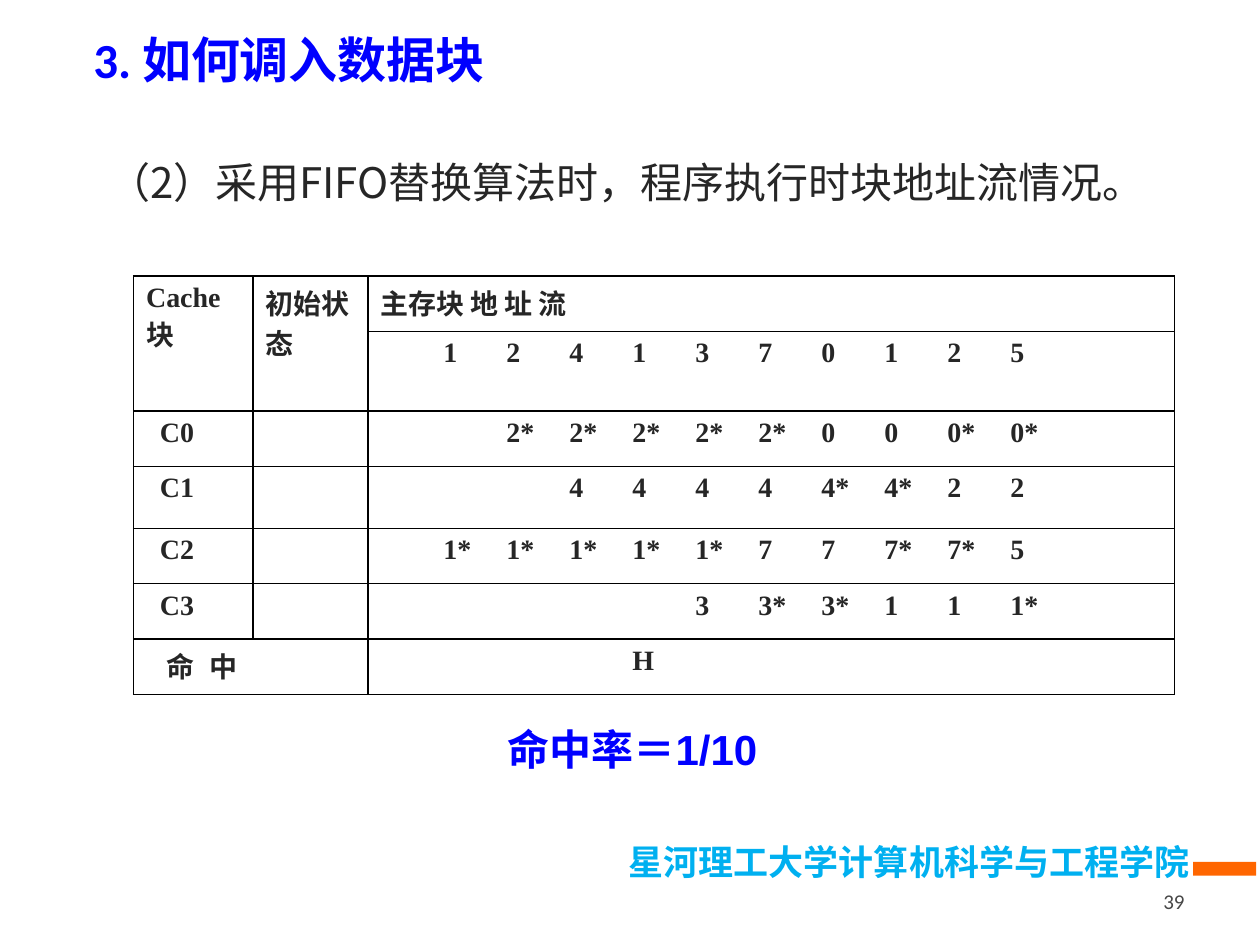
from dataclasses import dataclass

from lxml import etree
from pptx import Presentation
from pptx.dml.color import RGBColor
from pptx.enum.shapes import MSO_SHAPE
from pptx.enum.text import MSO_ANCHOR, PP_ALIGN
from pptx.oxml.ns import qn
from pptx.util import Inches, Pt

RECTANGLE = MSO_SHAPE.RECTANGLE
TOP, MIDDLE = MSO_ANCHOR.TOP, MSO_ANCHOR.MIDDLE
LEFT, RIGHT = PP_ALIGN.LEFT, PP_ALIGN.RIGHT


@dataclass(frozen=True)
class Theme:
    blue: str = "0000FF"
    ink: str = "262626"
    grey: str = "474747"
    sky: str = "00B0F0"
    orange: str = "FF6600"
    line: str = "000000"
    chinese: str = "Noto Sans CJK SC"
    heading: str = "Calibri"
    serif: str = "Times New Roman"
    result: str = "Lato"
    digits: str = "Arial"
    title_size: int = 28
    body_size: int = 24
    footer_size: int = 20
    table_size: int = 16
    number_size: int = 12


THEME = Theme()

# The slide is a grid of 100 columns by 75 rows
COLUMNS, ROWS = 100, 75
SLIDE_WIDTH, SLIDE_HEIGHT = Inches(10), Inches(7.5)

# Cache trace: one entry per access, empty where nothing shows
ADDRESSES = "1 2 4 1 3 7 0 1 2 5".split()
CACHE_BLOCKS = {
    "C0": [""] + "2* 2* 2* 2* 2* 0 0 0* 0*".split(),
    "C1": [""] * 2 + "4 4 4 4 4* 4* 2 2".split(),
    "C2": "1* 1* 1* 1* 1* 7 7 7* 7* 5".split(),
    "C3": [""] * 4 + "3 3* 3* 1 1 1*".split(),
}
HITS = [""] * 3 + ["H"]
TRACE_TABS = [0.22 + 0.43 * step for step in range(len(ADDRESSES))]
COLUMN_WIDTHS = [9.5, 9.1, 64]
ROW_HEIGHTS = [4.4, 6.3, 4.4, 4.9, 4.4, 4.4, 4.4]


def across(columns):
    return round(SLIDE_WIDTH * columns / COLUMNS)


def down(rows):
    return round(SLIDE_HEIGHT * rows / ROWS)


def place(box):
    left, top, width, height = box
    return across(left), down(top), across(width), down(height)


def write(frame, text, size, color, font, bold=False, align=LEFT,
          anchor=MIDDLE, indent=0, tabs=()):
    """Add a formatted run to the first paragraph of a text frame."""
    frame.word_wrap = True
    frame.vertical_anchor = anchor
    paragraph = frame.paragraphs[0]
    paragraph.alignment = align
    properties = paragraph._p.get_or_add_pPr()
    properties.set("marL", "0")
    properties.set("indent", str(Inches(indent)))
    if tabs:
        tab_list = etree.SubElement(properties, qn("a:tabLst"))
        for position in tabs:
            etree.SubElement(tab_list, qn("a:tab"),
                             pos=str(Inches(position)), algn="l")
    run = paragraph.add_run()
    run.text = text
    run.font.size, run.font.bold, run.font.name = Pt(size), bold, font
    run.font.color.rgb = RGBColor.from_string(color)
    latin = run._r.get_or_add_rPr().find(qn("a:latin"))
    latin.addnext(etree.Element(qn("a:ea"), typeface=THEME.chinese))


def add_text(slide, box, text, **text_format):
    frame = slide.shapes.add_textbox(*place(box)).text_frame
    write(frame, text, **text_format)
    return frame


def add_title(slide, box):
    title = slide.shapes.title
    title.left, title.top, title.width, title.height = place(box)
    write(title.text_frame, "3. 如何调入数据块", size=THEME.title_size,
          color=THEME.blue, font=THEME.heading, bold=True)


def add_footer(slide, box):
    left, top, width, height = box
    add_text(slide, (left, top, width - 4.3, height * 0.6),
             "星河理工大学计算机科学与工程学院",
             size=THEME.footer_size, color=THEME.sky, font=THEME.chinese,
             bold=True, align=RIGHT, anchor=TOP)
    bar = slide.shapes.add_shape(
        RECTANGLE, *place((left + width - 5, top + 2.2, 5, 1.1)))
    bar.shadow.inherit = False
    bar.fill.solid()
    bar.fill.fore_color.rgb = RGBColor.from_string(THEME.orange)
    bar.line.fill.background()
    add_text(slide, (71.7, top + 3.3, 23.3, 4), "39",
             size=THEME.number_size, color=THEME.grey, font=THEME.heading,
             align=RIGHT)


def outline(cell):
    cell.fill.background()
    properties = cell._tc.get_or_add_tcPr()
    for index, side in enumerate(("lnL", "lnR", "lnT", "lnB")):
        border = etree.Element(qn(f"a:{side}"), w=str(Pt(1)))
        fill = etree.SubElement(border, qn("a:solidFill"))
        etree.SubElement(fill, qn("a:srgbClr"), val=THEME.line)
        properties.insert(index, border)


def add_trace_table(slide, box):
    table = slide.shapes.add_table(len(ROW_HEIGHTS), len(COLUMN_WIDTHS),
                                   *place(box)).table
    table.first_row = table.horz_banding = False
    for column, width in zip(table.columns, COLUMN_WIDTHS):
        column.width = across(width)
    for row, height in zip(table.rows, ROW_HEIGHTS):
        row.height = down(height)
    for cell in table.iter_cells():
        outline(cell)

    def fill_cell(row, column, text, **text_format):
        write(table.cell(row, column).text_frame, text,
              size=THEME.table_size, color=THEME.ink, font=THEME.serif,
              bold=True, anchor=TOP, **text_format)

    def fill_trace(row, values):
        fill_cell(row, 2, "".join("\t" + value for value in values),
                  tabs=TRACE_TABS)

    # Merged headings
    last = len(ROW_HEIGHTS) - 1
    for column, heading in enumerate(("Cache块", "初始状态")):
        table.cell(0, column).merge(table.cell(1, column))
        fill_cell(0, column, heading)
    fill_cell(0, 2, "主存块 地 址 流")
    # Address stream, cache blocks and hits
    fill_trace(1, ADDRESSES)
    for row, (name, values) in enumerate(CACHE_BLOCKS.items(), start=2):
        fill_cell(row, 0, name, indent=0.11)
        fill_trace(row, values)
    table.cell(last, 0).merge(table.cell(last, 1))
    fill_cell(last, 0, "命\t中", indent=0.16, tabs=[0.63])
    fill_trace(last, HITS)


def add_hit_rate(slide, box):
    style = dict(size=THEME.body_size, color=THEME.blue, bold=True)
    frame = add_text(slide, box, "命中率＝", font=THEME.result, **style)
    write(frame, "1/10", font=THEME.digits, **style)


def main():
    presentation = Presentation()
    presentation.slide_width = SLIDE_WIDTH
    presentation.slide_height = SLIDE_HEIGHT
    title_only = presentation.slide_layouts[5]
    slide = presentation.slides.add_slide(title_only)

    add_footer(slide, (8.2, 66.2, 91.5, 7.3))
    add_title(slide, (6.4, 0.9, 63.3, 7.5))
    add_text(slide, (5.1, 11.9, 92, 9.1),
             "（2）采用FIFO替换算法时，程序执行时块地址流情况。",
             size=THEME.body_size, color=THEME.ink, font=THEME.chinese,
             anchor=TOP, indent=0.25)
    add_trace_table(slide, (10.6, 21.9, sum(COLUMN_WIDTHS), sum(ROW_HEIGHTS)))
    add_hit_rate(slide, (39.3, 56.9, 28.8, 5))
    presentation.save("out.pptx")


if __name__ == "__main__":
    main()
